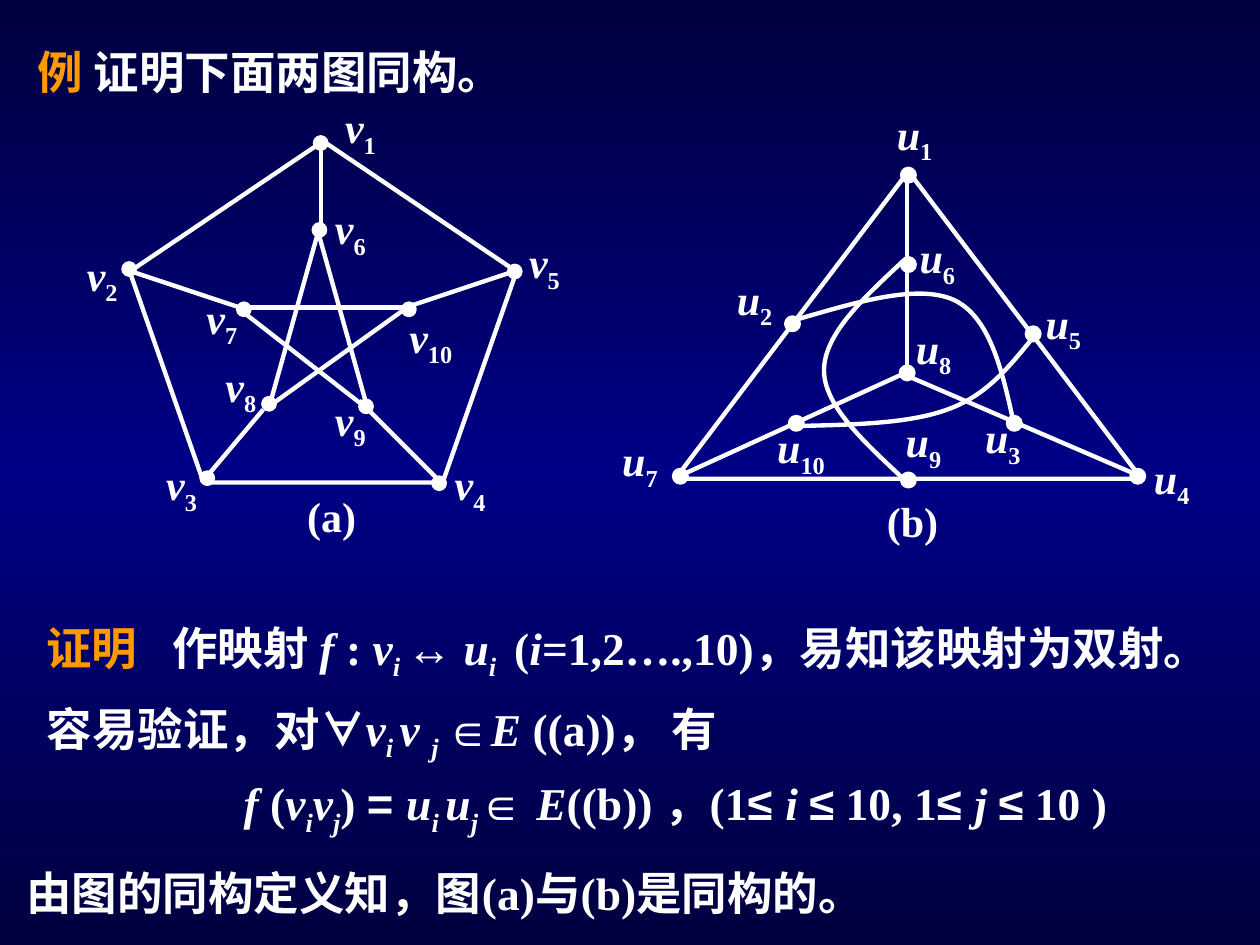
"""Build a slide proving that two drawings of a ten-vertex graph are isomorphic."""
from copy import deepcopy
from dataclasses import dataclass
from typing import NamedTuple

from lxml import etree
from pptx import Presentation
from pptx.dml.color import RGBColor
from pptx.enum.dml import MSO_FILL
from pptx.enum.shapes import MSO_CONNECTOR, MSO_SHAPE
from pptx.enum.text import MSO_ANCHOR, MSO_AUTO_SIZE, PP_ALIGN
from pptx.oxml.ns import qn
from pptx.util import Inches, Pt

STRAIGHT = MSO_CONNECTOR.STRAIGHT
OVAL = MSO_SHAPE.OVAL
PENTAGON = MSO_SHAPE.REGULAR_PENTAGON
TRIANGLE = MSO_SHAPE.ISOSCELES_TRIANGLE
TOP, MIDDLE = MSO_ANCHOR.TOP, MSO_ANCHOR.MIDDLE
LEFT, CENTER = PP_ALIGN.LEFT, PP_ALIGN.CENTER
FIT_SHAPE = MSO_AUTO_SIZE.SHAPE_TO_FIT_TEXT
GRADIENT = MSO_FILL.GRADIENT


@dataclass(frozen=True)
class Theme:
    ink: RGBColor = RGBColor(0xFF, 0xFF, 0xFF)
    accent: RGBColor = RGBColor(0xFF, 0x99, 0x00)
    edge: RGBColor = RGBColor(0x00, 0x00, 0x3E)
    glow: RGBColor = RGBColor(0x00, 0x00, 0x86)
    prose: float = 26
    label: float = 24
    stroke: float = 2.5
    serif: str = "Times New Roman"
    sans: str = "Arial"
    chinese: str = "Noto Sans CJK SC"


THEME = Theme()


class Style(NamedTuple):
    font: str = THEME.serif
    italic: bool = False
    lowered: bool = False
    color: RGBColor = THEME.ink


PLAIN = Style()
MATH = Style(italic=True)
SUB = Style(italic=True, lowered=True)
INDEX = Style(lowered=True)
SYMBOL = Style(font=THEME.sans)
CHINESE = Style(font=THEME.chinese)
KEYWORD = Style(font=THEME.chinese, color=THEME.accent)


class Vertex(NamedTuple):
    number: int
    dot: tuple[float, float]
    label: tuple[float, float]


@dataclass(frozen=True)
class Graph:
    letter: str
    outline: MSO_SHAPE
    frame: tuple[float, float, float, float]
    dot_size: float
    label_width: float
    vertices: list[Vertex]
    edges: list[tuple[float, float, float, float]]
    curves: list[list[tuple[float, float]]]
    caption: str
    caption_box: tuple[float, float, float, float]


PETERSEN = Graph(
    "v", PENTAGON, (1.03, 1.12, 3.07, 2.71), 0.09, 0.51,
    [Vertex(1, (2.5, 1.09), (2.64, 0.76)), Vertex(2, (0.98, 2.09), (0.59, 1.93)),
     Vertex(3, (1.6, 3.75), (1.22, 3.59)), Vertex(4, (3.44, 3.79), (3.51, 3.59)),
     Vertex(5, (4.04, 2.11), (4.1, 1.83)), Vertex(6, (2.49, 1.78), (2.56, 1.56)),
     Vertex(7, (1.89, 2.41), (1.54, 2.27)), Vertex(8, (2.09, 3.16), (1.69, 2.81)),
     Vertex(9, (2.86, 3.18), (2.56, 3.08)), Vertex(10, (3.2, 2.41), (3.15, 2.42))],
    [(2.55, 1.12, 2.55, 1.78), (1.03, 2.15, 1.9, 2.44), (4.09, 2.15, 3.22, 2.44),
     (2.09, 3.25, 1.66, 3.76), (2.85, 3.18, 3.48, 3.81), (2.52, 1.86, 2.15, 3.18),
     (2.53, 1.86, 2.9, 3.18), (2.17, 3.2, 3.19, 2.47), (1.9, 2.44, 3.22, 2.44),
     (1.96, 2.5, 2.91, 3.24)],
    [], "(a)", (2.34, 3.84, 0.73, 0.5))

TRIANGULAR = Graph(
    "u", TRIANGLE, (5.36, 1.36, 3.7, 2.44), 0.1, 0.63,
    [Vertex(1, (7.16, 1.34), (7.02, 0.81)), Vertex(2, (6.24, 2.52), (5.75, 2.12)),
     Vertex(3, (8, 3.31), (7.72, 3.22)), Vertex(4, (8.98, 3.73), (9.06, 3.54)),
     Vertex(5, (8.15, 2.6), (8.2, 2.31)), Vertex(6, (7.16, 2.05), (7.2, 1.79)),
     Vertex(7, (5.35, 3.73), (4.84, 3.4)), Vertex(8, (7.15, 2.91), (7.17, 2.51)),
     Vertex(9, (7.16, 3.76), (7.09, 3.25)), Vertex(10, (6.27, 3.31), (6.07, 3.3))],
    [(7.2, 1.36, 7.2, 2.94), (7.14, 2.98, 5.41, 3.77), (7.24, 3, 9.05, 3.78)],
    [[(7.17, 2.07), (6.86, 2.36), (6.54, 2.65), (6.54, 2.94),
      (6.54, 3.22), (6.86, 3.51), (7.17, 3.8)],
     [(6.31, 2.54), (6.79, 2.4), (7.28, 2.25), (7.57, 2.38),
      (7.85, 2.51), (7.95, 2.92), (8.04, 3.33)],
     [(8.19, 2.69), (8.01, 2.91), (7.83, 3.14), (7.52, 3.25),
      (7.22, 3.36), (6.79, 3.37), (6.36, 3.38)]],
    "(b)", (6.94, 3.88, 0.63, 0.5))

HEADING = [("例", KEYWORD), (" 证明下面两图同构。", CHINESE)]
MAPPING = [("证明\t", KEYWORD), ("作映射 ", CHINESE), ("f", MATH), (" : ", PLAIN), ("v", MATH),
           ("i ", SUB), ("↔ ", PLAIN), ("u", MATH), ("i ", SUB), (" (", PLAIN), ("i", MATH),
           ("=1,2….,10)，易知该映射为双射。", PLAIN)]
EDGE_TEST = [("容易验证，对", PLAIN), ("∀", SYMBOL), ("v", MATH), ("i ", SUB), ("v ", MATH),
             ("j ", SUB), ("∈", SYMBOL), ("E", MATH), (" ((a))， 有", PLAIN)]
EDGE_IMAGE = [("f", MATH), (" (", PLAIN), ("v", MATH), ("i", SUB), ("v", MATH), ("j", SUB),
              (") ", PLAIN), ("= ", SYMBOL), ("u", MATH), ("i ", SUB), ("u", MATH), ("j", SUB),
              ("∈ ", SYMBOL), ("E", MATH), ("((b)) ，(1", PLAIN), ("≤ ", SYMBOL), ("i ", MATH),
              ("≤", SYMBOL), (" 10, 1", PLAIN), ("≤ ", SYMBOL), ("j ", MATH), ("≤", SYMBOL),
              (" 10 )", PLAIN)]
CONCLUSION = [("由图的同构定义知，图", CHINESE), ("(a)", PLAIN), ("与", CHINESE),
              ("(b)", PLAIN), ("是同构的。", CHINESE)]


def write(paragraph, pieces: list, size: float, spacing: float = 1.0,
          align: PP_ALIGN = LEFT, margin: float = 0, tab: float = 0) -> None:
    """Fill a paragraph with styled runs and no bullet."""
    properties = paragraph._p.get_or_add_pPr()
    properties.set("marL", str(Inches(margin)))
    properties.set("indent", "0")
    etree.SubElement(properties, qn("a:buNone"))
    if tab:
        stops = etree.SubElement(properties, qn("a:tabLst"))
        etree.SubElement(stops, qn("a:tab"), pos=str(Inches(tab)), algn="l")
    paragraph.alignment = align
    paragraph.line_spacing = spacing
    paragraph.space_before = Pt(0)
    for text, style in pieces:
        run = paragraph.add_run()
        run.text = text
        run.font.size, run.font.name = Pt(size), style.font
        run.font.bold, run.font.italic = True, style.italic
        run.font.color.rgb = style.color
        run_properties = run._r.get_or_add_rPr()
        if style.lowered:
            run_properties.set("baseline", "-25000")
        etree.SubElement(run_properties, qn("a:ea"), typeface=THEME.chinese)


def place(box, frame: tuple, anchor: MSO_ANCHOR = TOP, wrap: bool = True):
    """Position a text holder and return its text frame."""
    box.left, box.top, box.width, box.height = map(Inches, frame)
    content = box.text_frame
    content.word_wrap, content.auto_size = wrap, FIT_SHAPE
    content.vertical_anchor = anchor
    return content


def add_text(shapes, frame: tuple, pieces: list, size: float, wrap: bool = True, **layout) -> None:
    """Add a one-paragraph text box."""
    content = place(shapes.add_textbox(*map(Inches, frame)), frame, wrap=wrap)
    write(content.paragraphs[0], pieces, size, **layout)


def stroke(shape, filled: bool = False) -> None:
    """Give a shape the graph's line and either a solid or no fill."""
    shape.shadow.inherit = False
    shape.line.color.rgb, shape.line.width = THEME.ink, Pt(THEME.stroke)
    if filled:
        shape.fill.solid()
        shape.fill.fore_color.rgb = THEME.ink
    else:
        shape.fill.background()


def add_edge(shapes, ends: tuple) -> None:
    """Draw a straight edge."""
    edge = shapes.add_connector(STRAIGHT, *map(Inches, ends))
    edge.line.color.rgb, edge.line.width = THEME.ink, Pt(THEME.stroke)
    etree.SubElement(edge.element.spPr, qn("a:effectLst"))


def add_curve(shapes, points: list) -> None:
    """Draw a chain of cubic Bézier segments."""
    start, *rest = [(Inches(x), Inches(y)) for x, y in points]
    builder = shapes.build_freeform(*start)
    builder.add_line_segments(rest, close=False)
    curve = builder.convert_to_shape()
    outline = curve.element.find(".//" + qn("a:path"))
    corners = outline.findall(qn("a:lnTo"))
    for first in range(0, len(corners), 3):
        segment = etree.SubElement(outline, qn("a:cubicBezTo"))
        for corner in corners[first:first + 3]:
            segment.append(corner[0])
            outline.remove(corner)
    stroke(curve)


def add_graph(slide, graph: Graph) -> None:
    """Draw a graph with its labels and caption as one group."""
    shapes = slide.shapes.add_group_shape().shapes
    stroke(shapes.add_shape(graph.outline, *map(Inches, graph.frame)))
    for edge in graph.edges:
        add_edge(shapes, edge)
    for curve in graph.curves:
        add_curve(shapes, curve)
    for vertex in graph.vertices:
        dot = (*vertex.dot, graph.dot_size, graph.dot_size)
        stroke(shapes.add_shape(OVAL, *map(Inches, dot)), filled=True)
        width = 0.58 if (graph.letter, vertex.number) == ("v", 10) else graph.label_width
        add_text(shapes, (*vertex.label, width, 0.56),
                 [(graph.letter, MATH), (str(vertex.number), INDEX)], THEME.label)
    add_text(shapes, graph.caption_box, [(graph.caption, PLAIN)], THEME.label)


def paint_background(slide) -> None:
    """Fill the background with a dark, bright, dark vertical gradient."""
    fill = slide.background.fill
    fill.gradient()
    if fill.type == GRADIENT:
        fill.gradient_angle = 270
    stops = slide.element.find(".//" + qn("a:gsLst"))
    stops.insert(1, deepcopy(stops[0]))
    colors = (THEME.edge, THEME.glow, THEME.edge)
    for stop, color, position in zip(fill.gradient_stops, colors, (0, 0.5, 1)):
        stop.color.rgb, stop.position = color, position


def main() -> None:
    """Build and save the slide."""
    deck = Presentation()
    deck.slide_width, deck.slide_height = Inches(10), Inches(7.5)
    slide = deck.slides.add_slide(deck.slide_layouts[1])
    paint_background(slide)
    heading = place(slide.shapes.title, (0.2, 0.21, 9, 0.62))
    write(heading.paragraphs[0], HEADING, THEME.prose, spacing=1.2)
    add_text(slide.shapes, (0.27, 4.77, 9.61, 0.69), MAPPING, THEME.prose, spacing=1.2, tab=0.9)
    proof = place(slide.placeholders[1], (0.27, 5.41, 9.37, 1.29), MIDDLE)
    write(proof.paragraphs[0], EDGE_TEST, THEME.prose, spacing=1.2)
    write(proof.add_paragraph(), EDGE_IMAGE, THEME.prose, spacing=1.2, align=CENTER, margin=0.81)
    add_text(slide.shapes, (0.11, 6.82, 7.19, 0.54), CONCLUSION, THEME.prose, wrap=False)
    for graph in (PETERSEN, TRIANGULAR):
        add_graph(slide, graph)
    deck.save("out.pptx")


if __name__ == "__main__":
    main()
